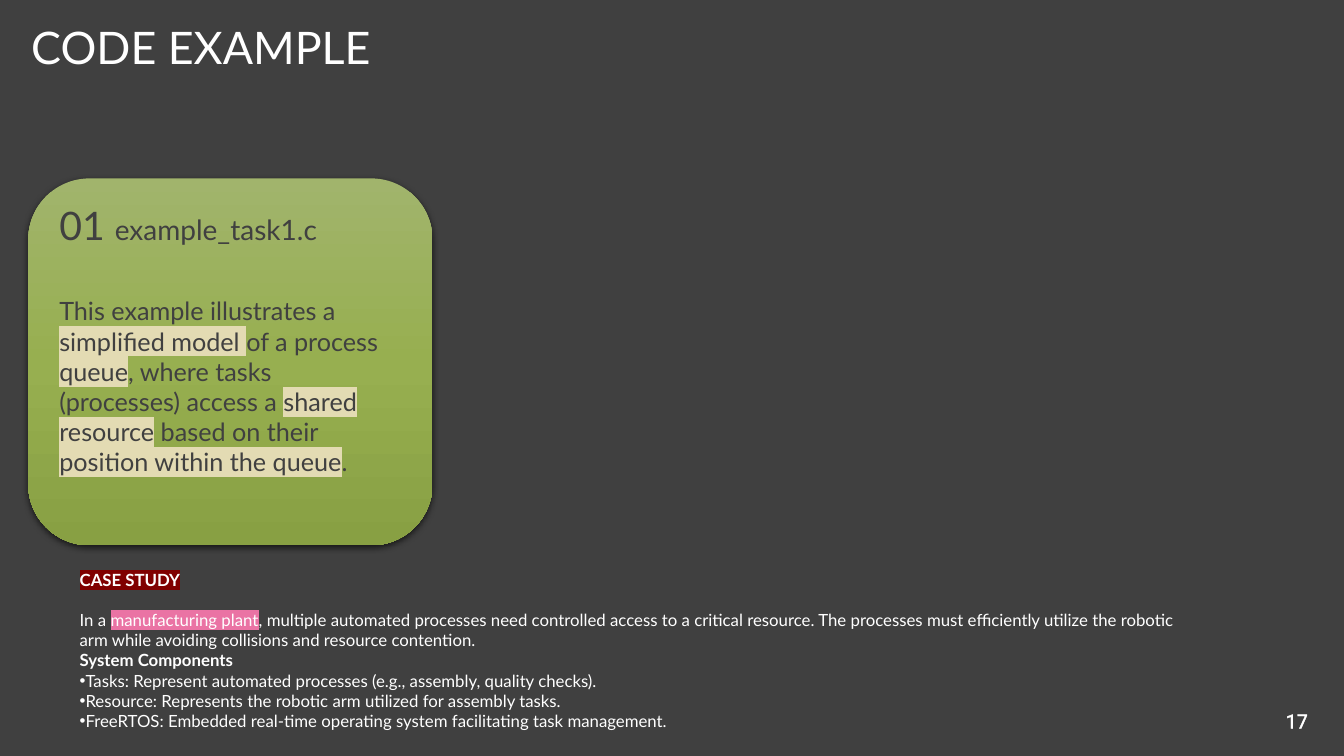
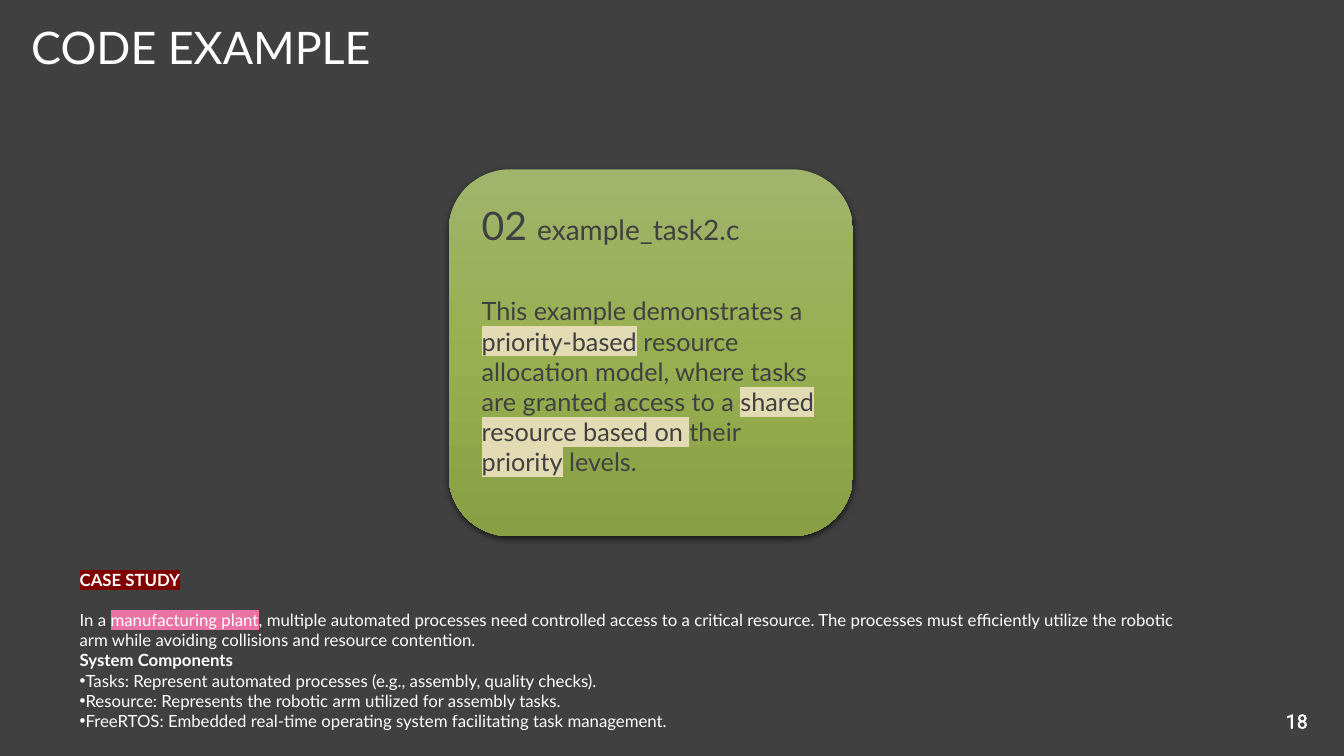
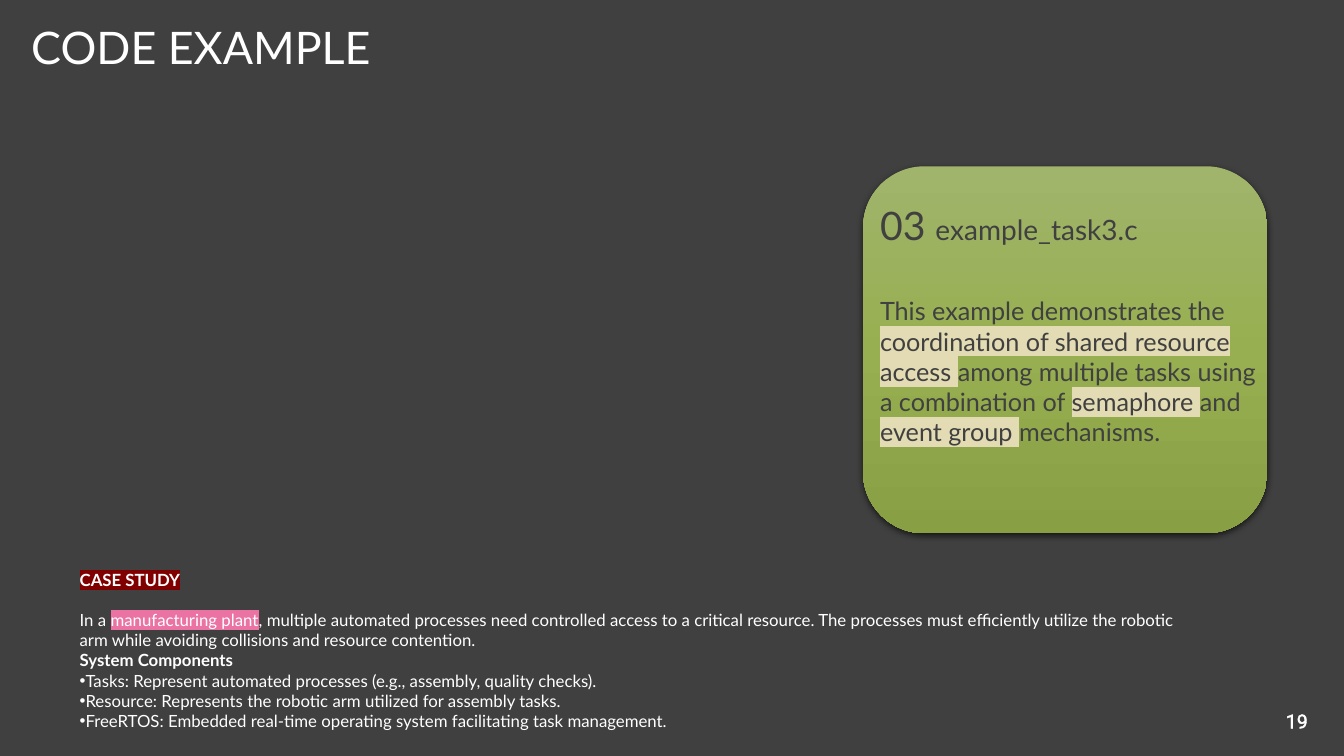
"""Build three code example slides that share one case study."""
from pptx import Presentation
from pptx.dml.color import RGBColor
from pptx.enum.shapes import MSO_SHAPE
from pptx.enum.text import MSO_ANCHOR, MSO_AUTO_SIZE, PP_ALIGN
from pptx.oxml import parse_xml
from pptx.oxml.ns import nsdecls, qn
from pptx.util import Inches, Pt

DARK, WHITE = "404040", "FFFFFF"
SAND, MAROON, PINK = "E3DBB3", "800000", "EA73A4"
GREENS = [(0, "A1B46C"), (50, "97AF50"), (100, "88A043")]
FACE = "Lato"
FIRST = 17
TITLE = "CODE EXAMPLE"
TITLE_BOX = (0.21, 0.15, 4.24, 0.65)
CASE_BOX = (0.69, 5.6, 11.21, 1.9)
PAGE_BOX = (12.5, 6.95, 0.57, 0.4)
CARD_SIZE = (4.01, 3.64)

CARDS = [
    {"file": "example_task1.c", "card": (0.28, 1.77), "text": (0.49, 1.95, 3.44, 3.4),
     "body": "This example illustrates a *simplified model *of a process *queue*, "
             "where tasks (processes) access a *shared resource* based on their "
             "*position within the queue*."},
    {"file": "example_task2.c", "card": (4.45, 1.68), "text": (4.68, 1.95, 3.54, 3.3),
     "body": "This example demonstrates a *priority-based* resource allocation model, "
             "where tasks are granted access to a *shared resource based on *their "
             "*priority* levels."},
    {"file": "example_task3.c", "card": (8.56, 1.65), "text": (8.63, 1.95, 4.01, 3.3),
     "body": "This example demonstrates the *coordination of shared resource access "
             "*among multiple tasks using a combination of *semaphore *and "
             "*event group *mechanisms."},
]

CASE = [
    {"text": "*CASE STUDY*", "bold": True, "mark": MAROON},
    {"text": "In a *manufacturing plant*, multiple automated processes need controlled "
             "access to a critical resource. The processes must efficiently utilize the "
             "robotic arm while avoiding collisions and resource contention.",
     "mark": PINK, "gap": 14.4},
    {"text": "System Components", "bold": True},
    {"text": "Tasks: Represent automated processes (e.g., assembly, quality checks).",
     "dot": True},
    {"text": "Resource: Represents the robotic arm utilized for assembly tasks.",
     "dot": True},
    {"text": "FreeRTOS: Embedded real-time operating system facilitating task management.",
     "dot": True},
]


def rgb(code):
    """Turn a hex string into a colour."""
    return RGBColor.from_string(code)


def place(shape, box):
    """Move and size a shape in inches."""
    shape.left, shape.top, shape.width, shape.height = map(Inches, box)


def node(xml):
    """Make one drawing element."""
    tag, rest = xml[:xml.index(" ")], xml[xml.index(" "):]
    return parse_xml(f"{tag} {nsdecls('a')}{rest}")


def style(run, size, color, bold=False, face=FACE):
    """Format one run."""
    font = run.font
    font.name, font.size, font.bold = face, Pt(size), bold
    font.color.rgb = rgb(color)


def write(para, text, size, color, mark=None, bold=False):
    """Add runs, marking the parts between asterisks."""
    for i, part in enumerate(text.split("*")):
        if not part:
            continue
        run = para.add_run()
        run.text = part
        style(run, size, color, bold)
        if i % 2:
            fill = run.font._element.find(qn("a:solidFill"))
            fill.addnext(node(f'<a:highlight ><a:srgbClr val="{mark}"/></a:highlight>'))


def add_box(slide, box):
    """Add a wrapping text box and return its frame."""
    frame = slide.shapes.add_textbox(*map(Inches, box)).text_frame
    frame.word_wrap = True
    return frame


def add_card(slide, number, card):
    """Draw the green card and its text."""
    shape = slide.shapes.add_shape(
        MSO_SHAPE.ROUNDED_RECTANGLE, *map(Inches, card["card"] + CARD_SIZE))
    shape.line.fill.background()
    shape.shadow.inherit = False
    props = shape._element.spPr
    stops = "".join(f'<a:gs pos="{at * 1000}"><a:srgbClr val="{code}"/></a:gs>'
                    for at, code in GREENS)
    props.find(qn("a:prstGeom")).addnext(node(
        f'<a:gradFill rotWithShape="1"><a:gsLst>{stops}</a:gsLst>'
        '<a:lin ang="5400000" scaled="0"/></a:gradFill>'))
    props.find(qn("a:effectLst")).append(node(
        f'<a:outerShdw blurRad="{Pt(4.5)}" dist="{Pt(1.5)}" dir="5400000" '
        'algn="ctr" rotWithShape="0"><a:srgbClr val="000000">'
        '<a:alpha val="63000"/></a:srgbClr></a:outerShdw>'))
    frame = add_box(slide, card["text"])
    head = frame.paragraphs[0]
    write(head, f"{number:02d} ", 28, DARK)
    write(head, card["file"], 20, DARK)
    body = frame.add_paragraph()
    body.space_before = Pt(33.6)
    write(body, card["body"], 18, DARK, SAND)


def add_case(frame):
    """Fill the body placeholder with the case study."""
    frame.auto_size = MSO_AUTO_SIZE.NONE
    for i, item in enumerate(CASE):
        para = frame.add_paragraph() if i else frame.paragraphs[0]
        para.space_before = Pt(item.get("gap", 0))
        props = para._p.get_or_add_pPr()
        props.set("marL", "0")
        props.set("indent", "0")
        dot = '<a:buChar char="•"/>' if item.get("dot") else "<a:buNone />"
        props.append(node(dot))
        write(para, item["text"], 12, WHITE, item.get("mark"), item.get("bold", False))


def add_page(slide, number):
    """Add the outlined page number."""
    frame = add_box(slide, PAGE_BOX)
    frame.vertical_anchor = MSO_ANCHOR.MIDDLE
    para = frame.paragraphs[0]
    para.text = str(number)
    para.alignment = PP_ALIGN.RIGHT
    run = para.runs[0]
    style(run, 14, WHITE, face="Roboto")
    run.font._element.insert(0, node(
        f'<a:ln w="{Pt(0.75)}"><a:solidFill><a:srgbClr val="{WHITE}"/>'
        '</a:solidFill></a:ln>'))


def add_title(shape):
    """Fill the title placeholder."""
    frame = shape.text_frame
    frame.text = TITLE
    frame.auto_size = MSO_AUTO_SIZE.NONE
    frame.vertical_anchor = MSO_ANCHOR.TOP
    para = frame.paragraphs[0]
    para.alignment = PP_ALIGN.LEFT
    style(para.runs[0], 32, WHITE)


def main():
    """Build and save the deck."""
    deck = Presentation()
    deck.slide_width, deck.slide_height = Inches(13.33), Inches(7.5)
    back = deck.slide_master.background.fill
    back.solid()
    back.fore_color.rgb = rgb(DARK)
    layout = deck.slide_layouts[1]
    place(layout.placeholders[0], TITLE_BOX)
    place(layout.placeholders[1], CASE_BOX)
    for i, card in enumerate(CARDS):
        slide = deck.slides.add_slide(layout)
        add_title(slide.shapes.title)
        add_case(slide.placeholders[1].text_frame)
        add_card(slide, i + 1, card)
        add_page(slide, FIRST + i)
    deck.save("out.pptx")


if __name__ == "__main__":
    main()
